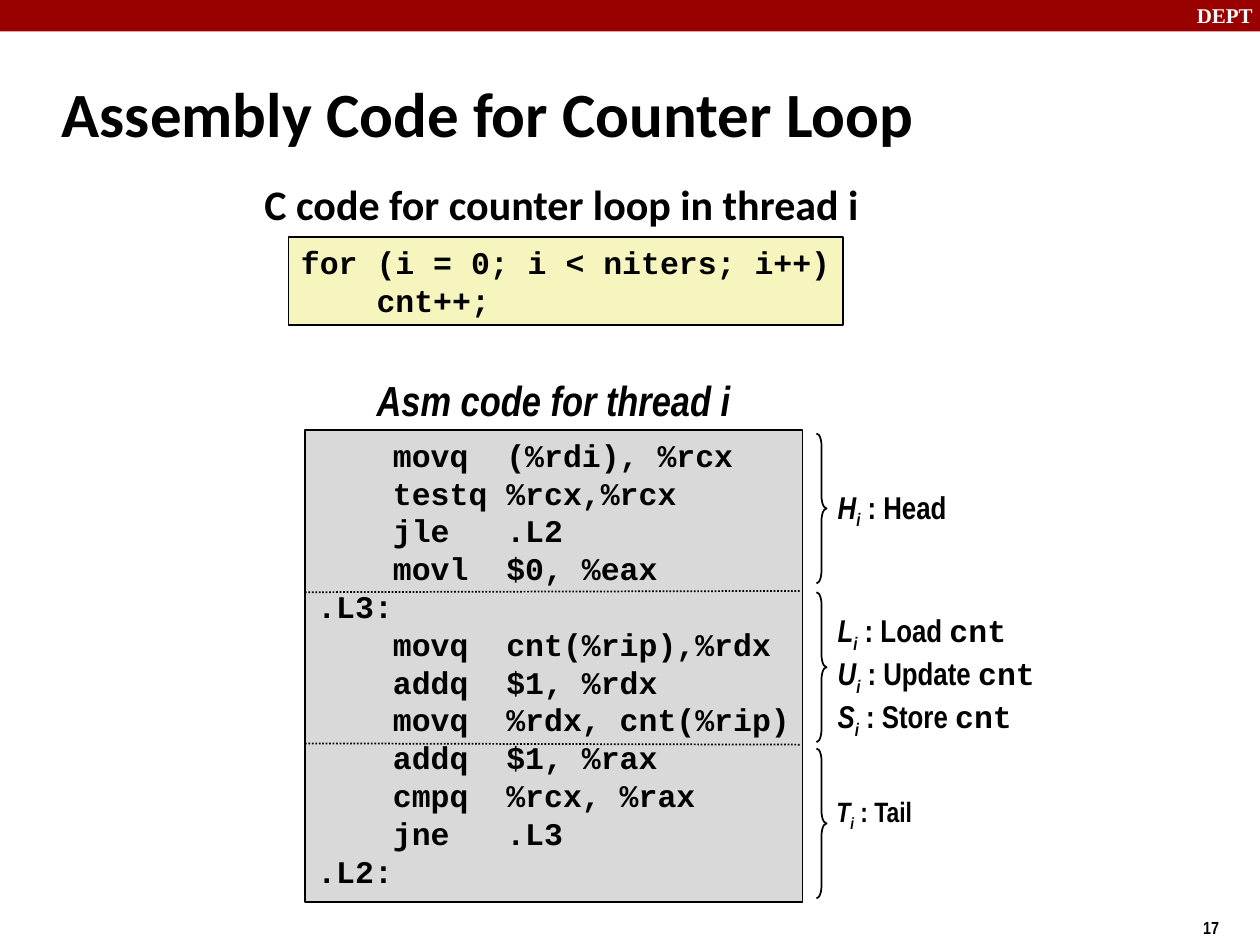
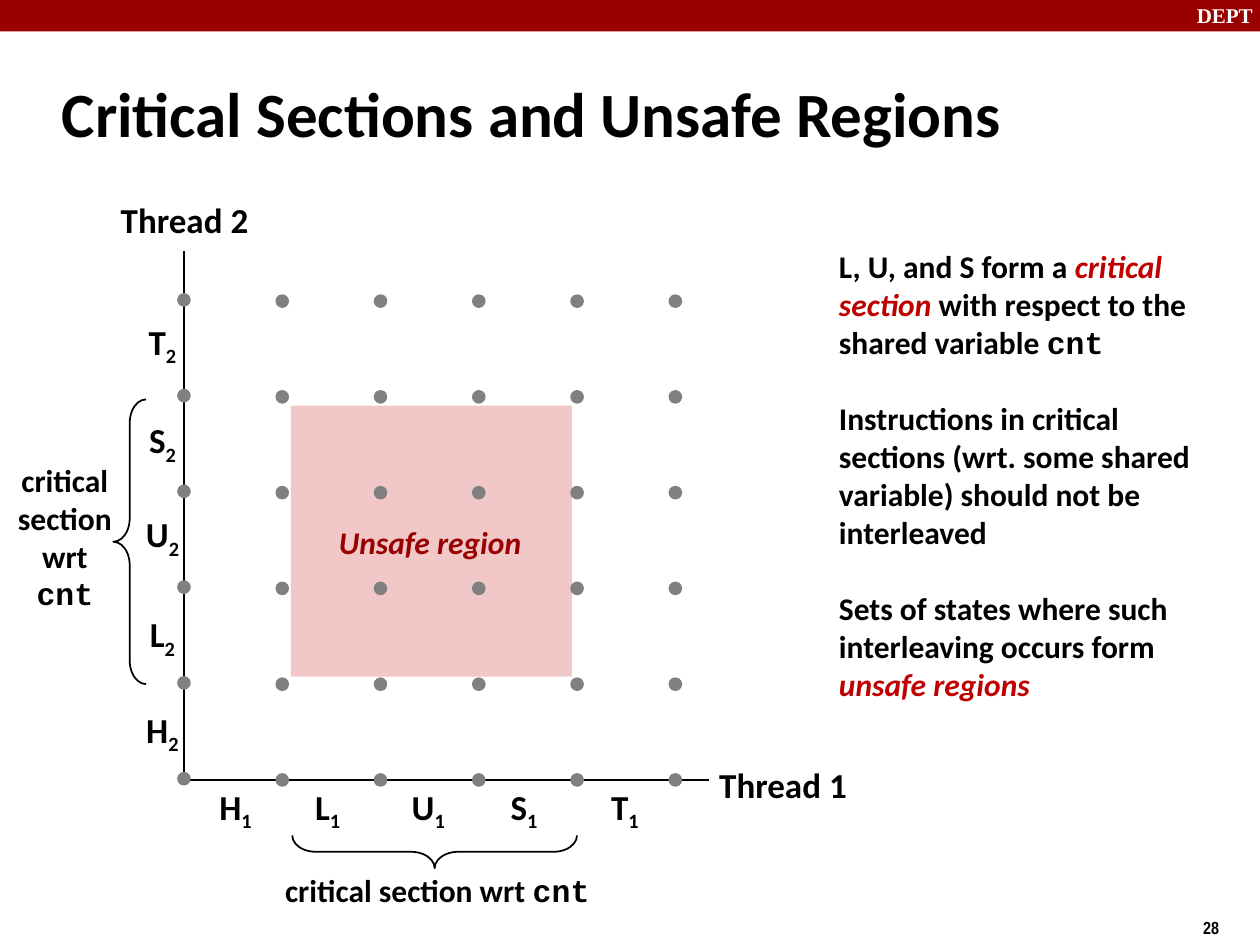
from lxml import etree
from pptx import Presentation
from pptx.dml.color import RGBColor
from pptx.enum.dml import MSO_LINE
from pptx.enum.shapes import MSO_CONNECTOR, MSO_SHAPE
from pptx.enum.text import MSO_ANCHOR, MSO_AUTO_SIZE, PP_ALIGN
from pptx.oxml.ns import qn
from pptx.util import Inches, Pt

RECT, OVAL = MSO_SHAPE.RECTANGLE, MSO_SHAPE.OVAL
LEFT_BRACE, RIGHT_BRACE = MSO_SHAPE.LEFT_BRACE, MSO_SHAPE.RIGHT_BRACE
LINE, DOTS = MSO_CONNECTOR.STRAIGHT, MSO_LINE.ROUND_DOT
LEFT, MID = PP_ALIGN.LEFT, PP_ALIGN.CENTER
TOP, CENTER = MSO_ANCHOR.TOP, MSO_ANCHOR.MIDDLE
FIXED = MSO_AUTO_SIZE.NONE

BLACK = RGBColor(0x00, 0x00, 0x00)
WHITE = RGBColor(0xFF, 0xFF, 0xFF)
MAROON = RGBColor(0x99, 0x00, 0x00)
RED = RGBColor(0xC0, 0x00, 0x00)
CREAM = RGBColor(0xF6, 0xF5, 0xBD)
SILVER = RGBColor(0xD9, 0xD9, 0xD9)
PINK = RGBColor(0xF1, 0xC7, 0xC7)
GRAY = RGBColor(0x80, 0x80, 0x80)
SANS, NARROW, MONO, SERIF = "Calibri", "Arial Narrow", "Courier New", "Times New Roman"


def draw(slide, kind, at, fill=None, edge=None, width=1):
    shape = slide.shapes.add_shape(kind, *map(Inches, at))
    shape.shadow.inherit = False
    if fill is None:
        shape.fill.background()
    else:
        shape.fill.solid()
        shape.fill.fore_color.rgb = fill
    if edge is None:
        shape.line.fill.background()
    else:
        shape.line.color.rgb = edge
        shape.line.width = Pt(width)
    return shape


def write(shape, paras, size, font=SANS, color=BLACK, align=LEFT, anchor=CENTER, wrap=False, gap=0):
    frame = shape.text_frame
    frame.auto_size = FIXED
    frame.word_wrap = wrap
    frame.vertical_anchor = anchor
    for num, runs in enumerate(paras):
        para = frame.add_paragraph() if num else frame.paragraphs[0]
        para.alignment = align
        if gap and (num or len(paras) == 1):
            para.space_before = Pt(gap)
        for words, style in runs:
            run = para.add_run()
            run.text = words
            run.font.size = Pt(size)
            run.font.bold = True
            run.font.italic = "i" in style
            run.font.name = MONO if "m" in style else font
            run.font.color.rgb = RED if "r" in style else color
            if "s" in style:
                run.font._element.set("baseline", "-25000")


deck = Presentation()
deck.slide_width, deck.slide_height = Inches(10), Inches(7.5)

pages = []
for head, page in [("Assembly Code for Counter Loop", "17"),
                   ("Critical Sections and Unsafe Regions", "28")]:
    slide = deck.slides.add_slide(deck.slide_layouts[5])
    draw(slide, RECT, (0, 0, 10, 0.25), MAROON)
    mark = slide.shapes.add_textbox(*map(Inches, (9.4, -0.03, 0.67, 0.3)))
    write(mark, [[("DEPT", "")]], 12, SERIF, WHITE, anchor=TOP, wrap=True)
    foot = slide.shapes.add_textbox(*map(Inches, (9.45, 7.23, 0.75, 0.29)))
    write(foot, [[(page, "")]], 10, NARROW, anchor=TOP, wrap=True)
    title = slide.shapes.title
    title.left, title.top, title.width, title.height = map(Inches, (0.39, 0.48, 8.3, 0.83))
    write(title, [[(head, "")]], 36, wrap=True)
    pages.append(slide)
code, graph = pages

loop = ["for (i = 0; i < niters; i++)", "\tcnt++;"]
asm = ["\tmovq\t(%rdi), %rcx", "\ttestq\t%rcx,%rcx", "\tjle\t.L2", "\tmovl\t$0, %eax",
       ".L3:", "\tmovq\tcnt(%rip),%rdx", "\taddq\t$1, %rdx", "\tmovq\t%rdx, cnt(%rip)",
       "\taddq\t$1, %rax", "\tcmpq\t%rcx, %rax", "\tjne\t.L3", ".L2:"]
for at, fill, lines, anchor in [((2.29, 1.88, 4.4, 0.7), CREAM, loop, CENTER),
                                ((2.42, 3.41, 3.95, 3.75), SILVER, asm, TOP)]:
    box = draw(code, RECT, at, fill, BLACK)
    box.text_frame.margin_right = 0
    write(box, [[(line, "")] for line in lines], 18, MONO, anchor=anchor, wrap=True)
    for para in box.text_frame.paragraphs:
        tabs = etree.SubElement(para._p.get_or_add_pPr(), qn("a:tabLst"))
        for stop in (0.6, 1.5):
            etree.SubElement(tabs, qn("a:tab"), pos=str(Inches(stop)), algn="l")

for at, words, font, style, wrap in [
        ((2, 1.37, 5.31, 0.5), "C code for counter loop in thread i", SANS, "", True),
        ((2.89, 2.92, 3, 0.5), "Asm code for thread i", NARROW, "i", False)]:
    label = code.shapes.add_textbox(*map(Inches, at))
    write(label, [[(words, style)]], 24, font, wrap=wrap)

parts = [
    ((6.55, 3.82, 1.06, 0.44), 18, [("H", "Head", "")]),
    ((6.55, 4.8, 1.76, 1.12), 18, [("L", "Load ", "cnt"), ("U", "Update ", "cnt"), ("S", "Store ", "cnt")]),
    ((6.54, 6.26, 0.8, 0.4), 16, [("T", "Tail", "")]),
]
for (at, size, rows), top in zip(parts, (3.44, 4.7, 5.94)):
    brace = draw(code, RIGHT_BRACE, (6.48, top, 0.08, 1.19), edge=BLACK)
    brace.adjustments[0] = 1.23
    paras = []
    for sign, verb, name in rows:
        runs = [(sign, "i"), ("i", "is"), (" : " + verb, "")]
        if name:
            runs.append((name, "m"))
        paras.append(runs)
    write(code.shapes.add_textbox(*map(Inches, at)), paras, size, NARROW)

draw(graph, RECT, (2.31, 3.22, 2.23, 2.15), PINK)
for slide, ends, dash in [(code, (2.42, 4.7, 6.36, 4.69), DOTS),
                          (code, (2.42, 5.9, 6.36, 5.91), DOTS),
                          (graph, (1.46, 6.19, 5.63, 6.19), None),
                          (graph, (1.46, 6.19, 1.46, 1.99), None)]:
    line = slide.shapes.add_connector(LINE, *map(Inches, ends))
    line.line.color.rgb = BLACK
    line.line.width = Pt(1)
    if dash:
        line.line.dash_style = dash
    etree.SubElement(line._element.spPr, qn("a:effectLst"))

notes = graph.shapes.add_textbox(*map(Inches, (6.56, 1.82, 3.19, 3.9)))
notes.text_frame.margin_top = notes.text_frame.margin_bottom = 0
write(notes, [
    [("L, U, and S form a ", ""), ("critical section ", "ir"),
     ("with respect to the shared variable ", ""), ("cnt", "m")],
    [("Instructions in critical sections (wrt. some shared variable) should not be interleaved", "")],
    [("Sets of states where such interleaving occurs form ", ""), ("unsafe regions", "ir")],
], 18, wrap=True, gap=22)

lefts = (1.64, 2.37, 3.17, 3.93, 4.73)
tops = (5.57, 4.81, 4.02, 3.27, 2.49)
for sign, left, top in zip("HLUST", lefts, tops):
    for at, thread in [((left, 6.18), "1"), ((1.06, top), "2")]:
        step = graph.shapes.add_textbox(*map(Inches, (*at, 0.46, 0.48)))
        write(step, [[(sign, ""), (thread, "s")]], 20, align=MID, gap=10)

for at, words in [((5.61, 6.01), "Thread 1"), ((0.86, 1.53), "Thread 2")]:
    axis = graph.shapes.add_textbox(*map(Inches, (*at, 1.21, 0.43)))
    write(axis, [[(words, "")]], 20, align=MID)

for col in range(6):
    base = 6.15 if col else 6.14
    for row in range(6):
        draw(graph, OVAL, (1.42 + 0.78 * col, base - 0.76 * row, 0.08, 0.08), GRAY, GRAY, 2)

for at, turn in [((0.9, 3.17), 0), ((3.32, 5.63), 270)]:
    brace = draw(graph, LEFT_BRACE, (*at, 0.26, 2.26), edge=BLACK)
    brace.adjustments[0] = 0.72
    brace.rotation = turn

for at, wrap in [((2.16, 6.86, 2.62, 0.4), False), ((0, 3.61, 1.03, 1.3), True)]:
    label = graph.shapes.add_textbox(*map(Inches, at))
    write(label, [[("critical section wrt ", ""), ("cnt", "m")]], 18, align=MID, wrap=wrap)

zone = graph.shapes.add_textbox(*map(Inches, (2.59, 4.1, 1.65, 0.4)))
write(zone, [[("Unsafe region", "i")]], 18, color=MAROON, anchor=TOP)

deck.save("out.pptx")
